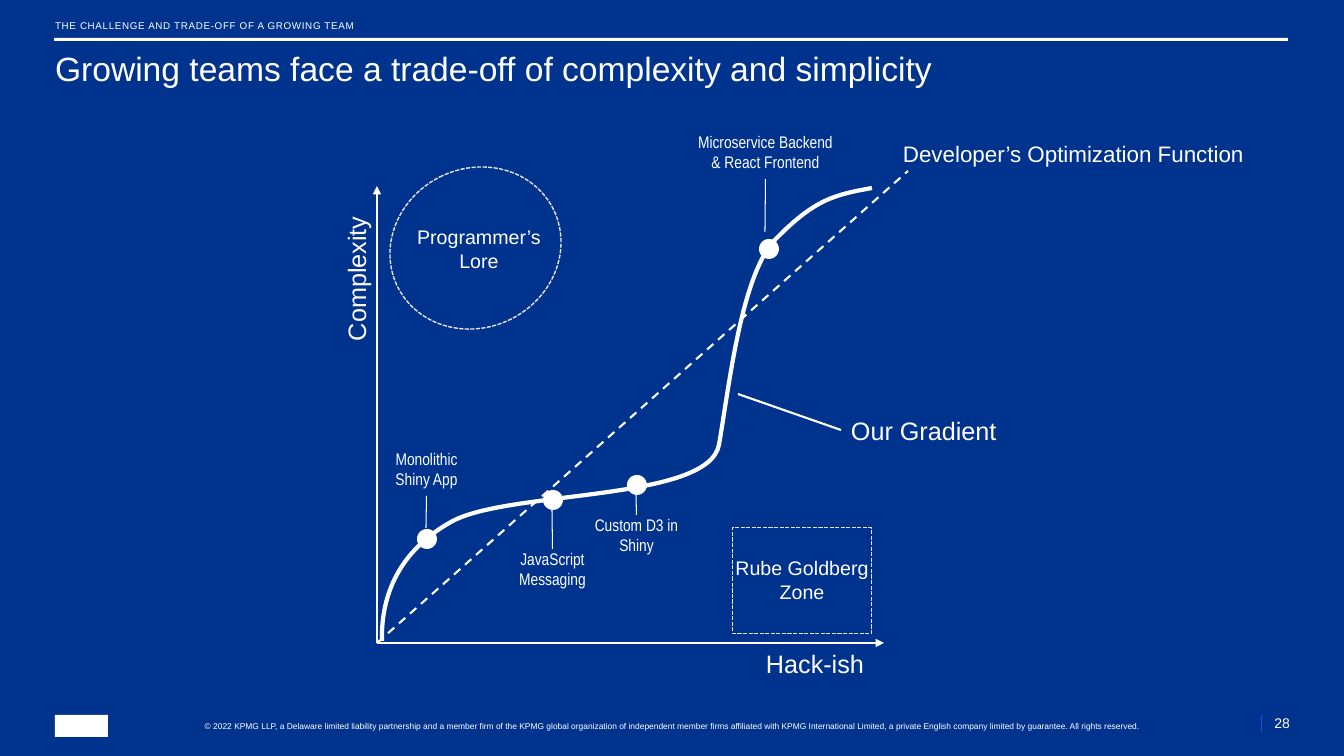
import copy

import pptx
import pptx.dml.color
import pptx.enum.dml
import pptx.enum.shapes
import pptx.enum.text
import pptx.oxml.ns
import pptx.oxml.xmlchemy
import pptx.util
from lxml import etree

ANCHOR = pptx.enum.text.MSO_ANCHOR
ALIGN = pptx.enum.text.PP_ALIGN
DASH = pptx.enum.dml.MSO_LINE
SHAPE = pptx.enum.shapes.MSO_SHAPE
TOP, LEFT, BOTTOM = 0, 1, 2
WHITE, PALE, BLUE, NAVY = "FFFFFF", "E5E5E5", "1E49E2", "00338D"


def px(length):
    return pptx.util.Emu(round(length * 914400 / 100.8))


def color(value):
    return pptx.dml.color.RGBColor.from_string(value)


def tag(name):
    return pptx.oxml.ns.qn(name)


def apply(target, values):
    for name, value in values.items():
        setattr(target, name, value)


class Slide:
    font = "Arial"
    narrow = "Arial Narrow"

    def __init__(self, deck):
        self.page = deck.slides.add_slide(deck.slide_layouts[6])
        self.page.background.fill.solid()
        self.page.background.fill.fore_color.rgb = color(NAVY)

    def stroke(self, line, shade, width, dash=None):
        line.color.rgb = color(shade)
        apply(line, {"width": pptx.util.Pt(width), "dash_style": dash})

    def text(self, words, left, top, width, height, size, font=None, align=ALIGN.LEFT,
             anchor=ANCHOR.TOP, wrap=True, inset=(10, 5), spacing=None, after=0,
             tracking=None, rotation=0):
        box = self.page.shapes.add_textbox(px(left), px(top), px(width), px(height))
        box.rotation = rotation
        side, edge = map(px, inset)
        apply(box.text_frame, {
            "word_wrap": wrap, "vertical_anchor": anchor,
            "margin_left": side, "margin_right": side,
            "margin_top": edge, "margin_bottom": edge,
        })
        para = box.text_frame.paragraphs[0]
        para.text = words
        apply(para, {"alignment": align, "space_after": pptx.util.Pt(after),
                     "line_spacing": spacing})
        for span in para.runs:
            apply(span.font, {"name": font or self.font, "size": pptx.util.Pt(size)})
            span.font.color.rgb = color(WHITE)
            if tracking:
                span.font._element.set("spc", str(tracking))
        for gap in para._p.findall(tag("a:br")):
            gap.insert(0, copy.deepcopy(para.runs[0].font._element))
        return box

    def shape(self, kind, left, top, width, height, fill=None, outline=None, rotation=0):
        shape = self.page.shapes.add_shape(kind, px(left), px(top), px(width), px(height))
        shape.shadow.inherit = False
        shape.rotation = rotation
        if fill:
            shape.fill.solid()
            shape.fill.fore_color.rgb = color(fill)
        else:
            shape.fill.background()
        if outline:
            self.stroke(shape.line, *outline)
        else:
            shape.line.fill.background()
        return shape

    def line(self, start, end, shade=WHITE, width=1.5, dash=None, arrow=False):
        connector = self.page.shapes.add_connector(
            pptx.enum.shapes.MSO_CONNECTOR.STRAIGHT, *map(px, start + end))
        self.stroke(connector.line, shade, width, dash)
        if arrow:
            etree.SubElement(connector.line._get_or_add_ln(), tag("a:tailEnd"), type="triangle")
        etree.SubElement(connector._element.spPr, tag("a:effectLst"))
        return connector

    def curve(self, start, points, width):
        builder = self.page.shapes.build_freeform(*map(px, start))
        builder.add_line_segments([tuple(map(px, point)) for point in points], close=False)
        shape = builder.convert_to_shape()
        shape.shadow.inherit = False
        shape.fill.background()
        self.stroke(shape.line, WHITE, width)
        segments = list(shape._element.iter(tag("a:lnTo")))
        for index in range(0, len(segments), 3):
            bezier = etree.SubElement(segments[index].getparent(), tag("a:cubicBezTo"))
            for segment in segments[index:index + 3]:
                bezier.append(segment[0])
                segment.getparent().remove(segment)

    def callout(self, box, side, tip, width=0.75):
        self.line((0, 0), tip, width=width).begin_connect(box, side)

    def milestone(self, words, left, top, width, side, tip, dot, wrap=True):
        box = self.text(words, left, top, width, 47, 12, self.narrow, ALIGN.CENTER,
                        wrap=wrap, inset=(0, 0), after=6)
        self.callout(box, side, tip)
        self.shape(SHAPE.OVAL, *dot, 20, 20, fill=WHITE)


def main():
    deck = pptx.Presentation()
    apply(deck, {"slide_width": px(1344), "slide_height": px(756)})
    slide = Slide(deck)

    slide.text("THE CHALLENGE AND TRADE-OFF OF A GROWING TEAM", 55, 18, 1234, 13, 7,
               anchor=ANCHOR.BOTTOM, inset=(0, 0), spacing=pptx.util.Pt(7.7), after=6, tracking=50)
    slide.shape(SHAPE.RECTANGLE, 54, 38, 1234, 3, fill=WHITE)
    slide.text("Growing teams face a trade-off of complexity and simplicity",
               55, 48, 1234, 78, 24, inset=(0, 0))

    origin = (377, 643)
    slide.line(origin, (377, 186), arrow=True)
    slide.line(origin, (884, 643), arrow=True)
    slide.text("Hack-ish", 756, 643, 119, 40, 18, wrap=False)
    slide.text("Complexity", 283, 258, 146, 40, 18, wrap=False, rotation=270)

    zone = (PALE, 1, DASH.SQUARE_DOT)
    slide.shape(SHAPE.OVAL, 396, 161, 159, 174, outline=zone, rotation=63.3)
    slide.shape(SHAPE.RECTANGLE, 749, 511, 106, 139, outline=zone, rotation=90)
    slide.text("Rube Goldberg Zone", 719, 551, 166, 57, 14, align=ALIGN.CENTER)
    slide.text("Programmer’s Lore", 400, 220, 158, 57, 14, align=ALIGN.CENTER)

    slide.line(origin, (908, 171), dash=DASH.DASH)
    slide.text("Developer’s Optimization Function", 893, 135, 365, 37, 16, wrap=False)
    slide.curve((382, 641), [
        (381, 602), (394, 554), (451, 522),
        (507, 490), (708, 502), (719, 445),
        (729, 388), (740, 284), (772, 243),
        (814, 199), (834, 195), (872, 188),
    ], 3)
    gradient = slide.text("Our Gradient", 841, 410, 167, 40, 18, wrap=False)
    slide.callout(gradient, LEFT, (738, 394), 1.5)

    slide.milestone("Monolithic Shiny App", 381, 449, 91, BOTTOM, (426, 528), (417, 529))
    slide.milestone("JavaScript\nMessaging", 507, 549, 91, TOP, (552, 509), (543, 490))
    slide.milestone("Custom D3 in Shiny", 591, 515, 91, TOP, (636, 494), (627, 475))
    slide.milestone("Microservice Backend\n& React Frontend", 672, 132, 187, BOTTOM,
                    (765, 232), (759, 239), wrap=False)

    slide.shape(SHAPE.RECTANGLE, 55, 715, 53, 22, fill=WHITE)
    slide.text("© 2022 KPMG LLP, a Delaware limited liability partnership and a member firm of the "
               "KPMG global organization of independent member firms affiliated with KPMG "
               "International Limited, a private English company limited by guarantee. "
               "All rights reserved.", 202, 721, 940, 10, 6, align=ALIGN.CENTER, inset=(0, 0))
    slide.line((1261, 715), (1261, 732), BLUE, 0.5)
    slide.text("28", 1263, 715, 27, 16, 10, align=ALIGN.RIGHT, anchor=ANCHOR.BOTTOM, inset=(0, 0))
    deck.save("out.pptx")


if __name__ == "__main__":
    main()
